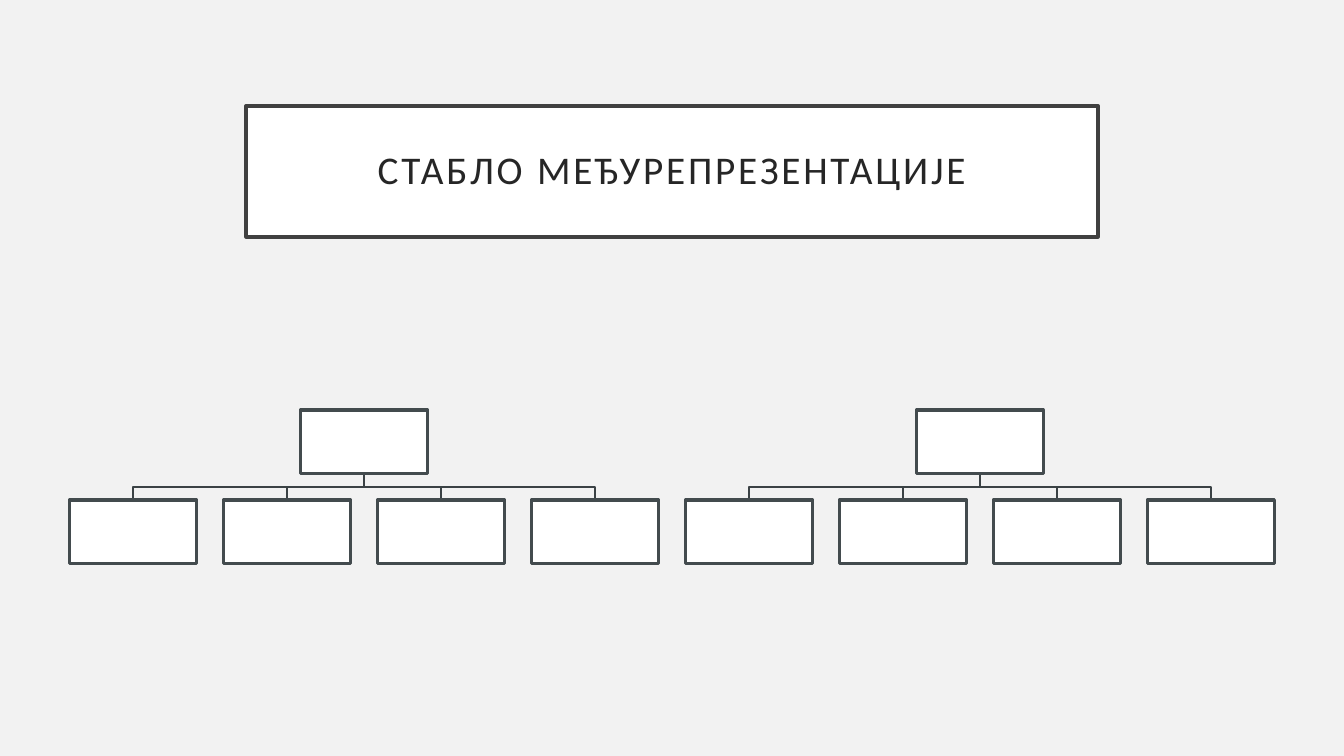
from pptx import Presentation
from pptx.dml.color import RGBColor
from pptx.enum.shapes import MSO_SHAPE
from pptx.enum.text import MSO_ANCHOR, PP_ALIGN
from pptx.util import Inches, Pt

RECTANGLE = MSO_SHAPE.RECTANGLE
MIDDLE = MSO_ANCHOR.MIDDLE
CENTER = PP_ALIGN.CENTER

HEADING = "СТАБЛО МЕЂУРЕПРЕЗЕНТАЦИЈЕ"
CHILDREN_PER_TREE = (4, 4)

COLORS = {
    "background": "F2F2F2",
    "box": "FFFFFF",
    "heading_border": "404040",
    "heading_text": "262626",
    "node_border": "434B4E",
    "branch": "3B4245",
}
HEADING_FONT = {"name": "Calibri", "size": Pt(28)}
HEADING_FRAME = {
    "word_wrap": True,
    "vertical_anchor": MIDDLE,
    "margin_left": Inches(0.2),
    "margin_right": Inches(0.2),
    "margin_top": Inches(0.2),
    "margin_bottom": Inches(0.2),
}
HEADING_PARAGRAPH = {"alignment": CENTER, "line_spacing": 0.9}

SLIDE_W, SLIDE_H = 13.33, 7.5
HEADING_W, HEADING_H, HEADING_TOP = 8.45, 1.3, 1.05
NODE_W, NODE_H = 1.26, 0.63
ROOT_TOP, CHILD_TOP = 4.07, 4.96
SIDE = 0.69
PITCH = (SLIDE_W - 2 * SIDE - NODE_W) / (sum(CHILDREN_PER_TREE) - 1)


def color(key):
    return RGBColor.from_string(COLORS[key])


def apply(target, values):
    for attribute, value in values.items():
        setattr(target, attribute, value)


def add_box(slide, center, top, width, height, border):
    box = slide.shapes.add_shape(
        RECTANGLE, Inches(center - width / 2), Inches(top), Inches(width), Inches(height)
    )
    box.shadow.inherit = False
    box.fill.solid()
    box.fill.fore_color.rgb = color("box")
    box.line.color.rgb = color(border)
    box.line.width = Pt(2.5)
    return box


def add_branch(slide, root, child):
    start = ROOT_TOP + NODE_H
    bend = (start + CHILD_TOP) / 2
    corners = [(root, bend), (child, bend), (child, CHILD_TOP)]
    outline = slide.shapes.build_freeform(Inches(root), Inches(start))
    outline.add_line_segments([(Inches(x), Inches(y)) for x, y in corners], close=False)
    branch = outline.convert_to_shape()
    branch.shadow.inherit = False
    branch.fill.background()
    branch.line.color.rgb = color("branch")
    branch.line.width = Pt(1)


def add_heading(slide):
    heading = add_box(
        slide, SLIDE_W / 2, HEADING_TOP, HEADING_W, HEADING_H, "heading_border"
    )
    apply(heading.text_frame, HEADING_FRAME)
    paragraph = heading.text_frame.paragraphs[0]
    apply(paragraph, HEADING_PARAGRAPH)
    run = paragraph.add_run()
    run.text = HEADING
    apply(run.font, HEADING_FONT)
    run.font.color.rgb = color("heading_text")
    run.font._element.set("spc", "200")


def add_trees(slide):
    trees = []
    column = 0
    for count in CHILDREN_PER_TREE:
        children = [SIDE + NODE_W / 2 + PITCH * (column + i) for i in range(count)]
        trees.append((sum(children) / count, children))
        column += count
    for root, children in trees:
        for child in children:
            add_branch(slide, root, child)
    for root, children in trees:
        add_box(slide, root, ROOT_TOP, NODE_W, NODE_H, "node_border")
        for child in children:
            add_box(slide, child, CHILD_TOP, NODE_W, NODE_H, "node_border")


def main():
    deck = Presentation()
    deck.slide_width, deck.slide_height = Inches(SLIDE_W), Inches(SLIDE_H)
    slide = deck.slides.add_slide(deck.slide_layouts[6])
    slide.background.fill.solid()
    slide.background.fill.fore_color.rgb = color("background")
    add_heading(slide)
    add_trees(slide)
    deck.save("out.pptx")


if __name__ == "__main__":
    main()
